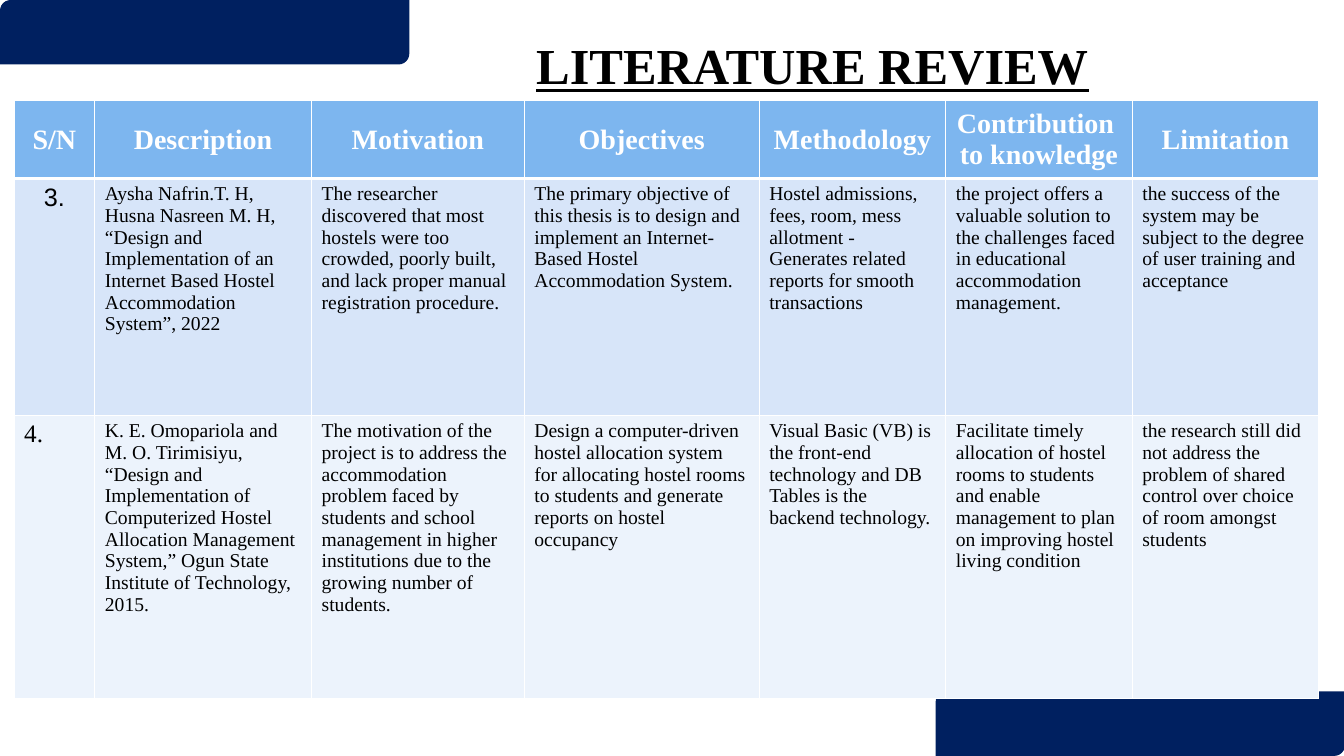
from pptx import Presentation
from pptx.dml.color import RGBColor
from pptx.enum.shapes import MSO_SHAPE
from pptx.enum.text import MSO_ANCHOR, MSO_AUTO_SIZE, PP_ALIGN
from pptx.oxml.ns import qn
from pptx.util import Pt
from lxml import etree

PX = 9144
NAVY = RGBColor(0x00, 0x20, 0x60)
BLUE = RGBColor(0x7D, 0xB6, 0xEF)
PALE = RGBColor(0xD7, 0xE5, 0xF9)
MIST = RGBColor(0xEC, 0xF3, 0xFC)
BLACK = RGBColor(0x00, 0x00, 0x00)
WHITE = RGBColor(0xFF, 0xFF, 0xFF)
SERIF = "Times New Roman"
SANS = "Arial"
DIAG = MSO_SHAPE.ROUND_2_DIAG_RECTANGLE
LEFT, CENTER = PP_ALIGN.LEFT, PP_ALIGN.CENTER
TOP, MIDDLE = MSO_ANCHOR.TOP, MSO_ANCHOR.MIDDLE
GROW = MSO_AUTO_SIZE.SHAPE_TO_FIT_TEXT

COLS = [80, 215, 211, 233, 185, 185, 185]
ROWS = [77, 235, 281]
HEADS = [
    "S/N", "Description", "Motivation", "Objectives", "Methodology",
    "Contribution \nto knowledge", "Limitation",
]
WORKS = [
    [
        "3.",
        "Aysha Nafrin.T. H, Husna Nasreen M. H, “Design and Implementation of an "
        "Internet Based Hostel Accommodation System”, 2022",
        "The researcher discovered that most hostels were too crowded, poorly built, "
        "and lack proper manual registration procedure.",
        "The primary objective of this thesis is to design and implement an "
        "Internet-Based Hostel Accommodation System.",
        "Hostel admissions, fees, room, mess allotment - Generates related reports "
        "for smooth transactions",
        "the project offers a valuable solution to the challenges faced in "
        "educational accommodation management.",
        "the success of the system may be subject to the degree of user training "
        "and acceptance",
    ],
    [
        "4.",
        "K. E. Omopariola and M. O. Tirimisiyu, “Design and Implementation of "
        "Computerized Hostel Allocation Management System,” Ogun State Institute "
        "of Technology, 2015.",
        "The motivation of the project is to address the accommodation problem "
        "faced by students and school management in higher institutions due to "
        "the growing number of students.",
        "Design a computer-driven hostel allocation system for allocating hostel "
        "rooms to students and generate reports on hostel occupancy",
        "Visual Basic (VB) is the front-end technology and DB Tables is the "
        "backend technology.",
        "Facilitate timely allocation of hostel rooms to students and enable "
        "management to plan on improving hostel living condition",
        "the research still did not address the problem of shared control over "
        "choice of room amongst students",
    ],
]


class Deck:
    def __init__(self, wide, high):
        self.show = Presentation()
        self.show.slide_width = wide * PX
        self.show.slide_height = high * PX
        self.slide = self.show.slides.add_slide(self.show.slide_layouts[6])

    def block(self, x, y, w, h):
        shape = self.slide.shapes.add_shape(DIAG, x * PX, y * PX, w * PX, h * PX)
        shape.shadow.inherit = False
        shape.fill.solid()
        shape.fill.fore_color.rgb = NAVY
        shape.line.fill.background()

    def label(self, frame, text, size, color=BLACK, face=SERIF, align=LEFT,
              bold=False, under=False):
        for n, line in enumerate(text.split("\n")):
            para = frame.add_paragraph() if n else frame.paragraphs[0]
            para.alignment = align
            run = para.add_run()
            run.text = line
            font = run.font
            font.name, font.size, font.bold = face, Pt(size), bold
            font.underline = under
            font.color.rgb = color

    def title(self, text, x, y, w, h):
        box = self.slide.shapes.add_textbox(x * PX, y * PX, w * PX, h * PX)
        frame = box.text_frame
        frame.word_wrap = False
        frame.auto_size = GROW
        self.label(frame, text, 36, bold=True, under=True)

    def edge(self, cell, base):
        props = cell._tc.get_or_add_tcPr()
        for side in "LRTB":
            width = base if side == "B" else 1
            line = etree.SubElement(props, qn("a:ln" + side), w=str(Pt(width)))
            fill = etree.SubElement(line, qn("a:solidFill"))
            etree.SubElement(fill, qn("a:srgbClr"), val=str(WHITE))

    def grid(self, x, y, cols, rows):
        table = self.slide.shapes.add_table(
            len(rows), len(cols), x * PX, y * PX, sum(cols) * PX, sum(rows) * PX
        ).table
        table.first_row = table.horz_banding = False
        for col, wide in zip(table.columns, cols):
            col.width = wide * PX
        for row, high in zip(table.rows, rows):
            row.height = high * PX
        return table

    def fill(self, row, texts, shade, styles, base=1, anchor=TOP):
        for cell, text, style in zip(row.cells, texts, styles):
            self.edge(cell, base)
            cell.fill.solid()
            cell.fill.fore_color.rgb = shade
            cell.vertical_anchor = anchor
            self.label(cell.text_frame, text, **style)


def main():
    deck = Deck(1333, 750)
    deck.block(928, 686, 406, 64)
    deck.block(0, 0, 406, 64)
    deck.title("LITERATURE REVIEW", 522, 29, 568, 71)
    table = deck.grid(14, 100, COLS, ROWS)
    head = dict(size=20, color=WHITE, align=CENTER, bold=True)
    body = [dict(size=14)] * (len(COLS) - 1)
    marks = [dict(size=18, face=SANS, align=CENTER), dict(size=18)]
    deck.fill(table.rows[0], HEADS, BLUE, [head] * len(COLS), 3, MIDDLE)
    for n, (work, shade, mark) in enumerate(zip(WORKS, (PALE, MIST), marks), 1):
        deck.fill(table.rows[n], work, shade, [mark] + body)
    deck.show.save("out.pptx")


if __name__ == "__main__":
    main()
